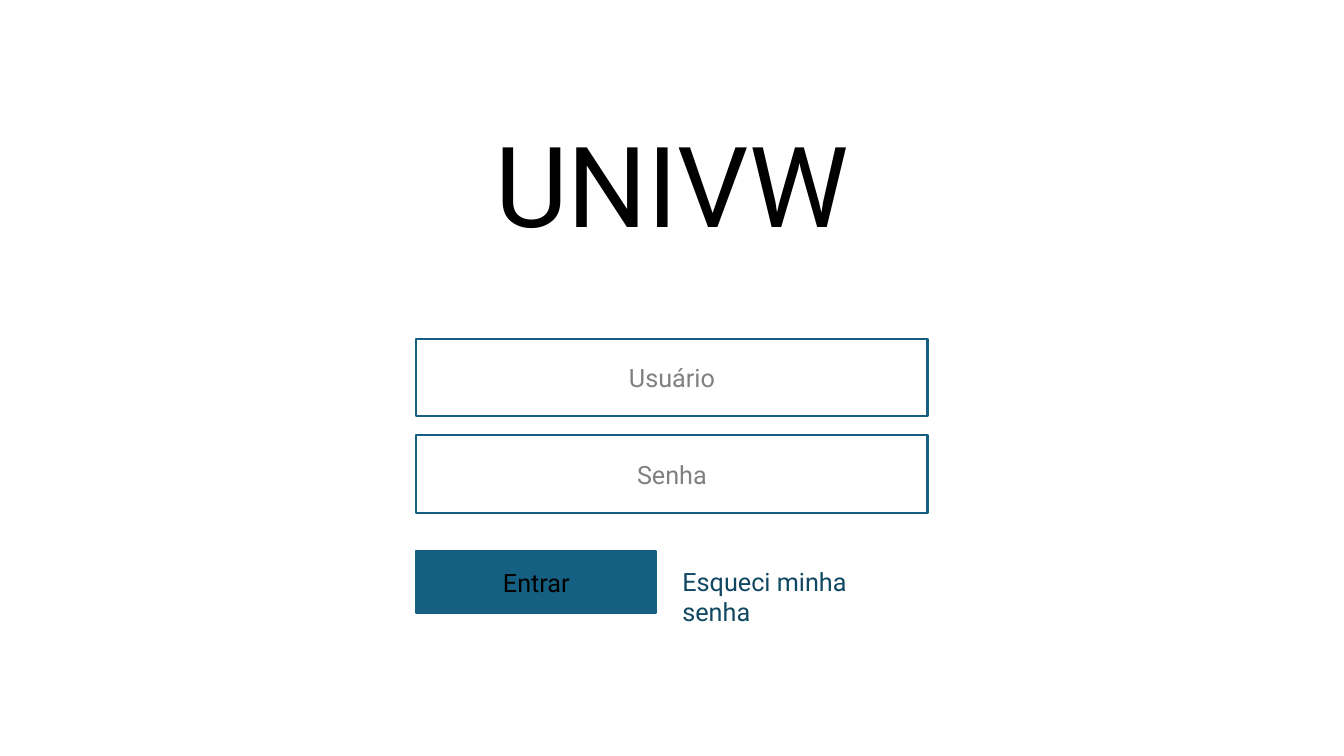
"""Build a login screen slide with two fields, a button and a recovery link."""
from pptx import Presentation
from pptx.dml.color import RGBColor
from pptx.enum.shapes import MSO_SHAPE
from pptx.enum.text import MSO_ANCHOR, MSO_AUTO_SIZE, PP_ALIGN
from pptx.util import Inches, Pt

RECT = MSO_SHAPE.RECTANGLE
TOP, MIDDLE = MSO_ANCHOR.TOP, MSO_ANCHOR.MIDDLE
LEFT, CENTER = PP_ALIGN.LEFT, PP_ALIGN.CENTER
NO_FIT = MSO_AUTO_SIZE.NONE

COLORS = {"black": "000000", "white": "FFFFFF", "hint": "808080",
          "accent": "156082", "link": "104862"}
FONT = "Roboto"

TITLE = "UNIVW"
FIELDS = ["Usuário", "Senha"]
BUTTON = "Entrar"
LINK = "Esqueci minha senha"

FORM_X, FORM_W = 4.13, 5.07
FIELD_Y, FIELD_H, FIELD_STEP = 3.36, 0.77, 0.96
BUTTON_Y, BUTTON_W, BUTTON_H = 5.47, 2.38, 0.61
LINK_Y, LINK_W, LINK_H = 5.57, 2.53, 0.4


def rgb(name):
    return RGBColor.from_string(COLORS[name])


def set_text(shape, text, size, color, align, anchor):
    tf = shape.text_frame
    tf.text = text
    tf.word_wrap = True
    tf.auto_size = NO_FIT
    tf.vertical_anchor = anchor
    p = tf.paragraphs[0]
    p.alignment = align
    p.line_spacing = 1.0
    p.space_before = Pt(0)
    p.font.name = FONT
    p.font.size = Pt(size)
    p.font.color.rgb = rgb(color)


def add_box(s, text, y, w, h, fill, color):
    sp = s.shapes.add_shape(RECT, Inches(FORM_X), Inches(y), Inches(w), Inches(h))
    sp.shadow.inherit = False
    sp.fill.solid()
    sp.fill.fore_color.rgb = rgb(fill)
    sp.line.color.rgb = rgb("accent")
    sp.line.width = Pt(1.5)
    set_text(sp, text, 18, color, CENTER, MIDDLE)


def main():
    prs = Presentation()
    prs.slide_width, prs.slide_height = Inches(13.33), Inches(7.5)
    s = prs.slides.add_slide(prs.slide_layouts[5])

    title = s.shapes.title
    title.left, title.top = Inches(FORM_X), Inches(1.1)
    title.width, title.height = Inches(FORM_W), Inches(1.45)
    set_text(title, TITLE, 80, "black", CENTER, TOP)

    for i, hint in enumerate(FIELDS):
        add_box(s, hint, FIELD_Y + i * FIELD_STEP, FORM_W, FIELD_H, "white", "hint")
    add_box(s, BUTTON, BUTTON_Y, BUTTON_W, BUTTON_H, "accent", "black")

    link_x = FORM_X + FORM_W - LINK_W
    link = s.shapes.add_textbox(Inches(link_x), Inches(LINK_Y), Inches(LINK_W), Inches(LINK_H))
    set_text(link, LINK, 18, "link", LEFT, TOP)

    prs.save("out.pptx")


if __name__ == "__main__":
    main()
